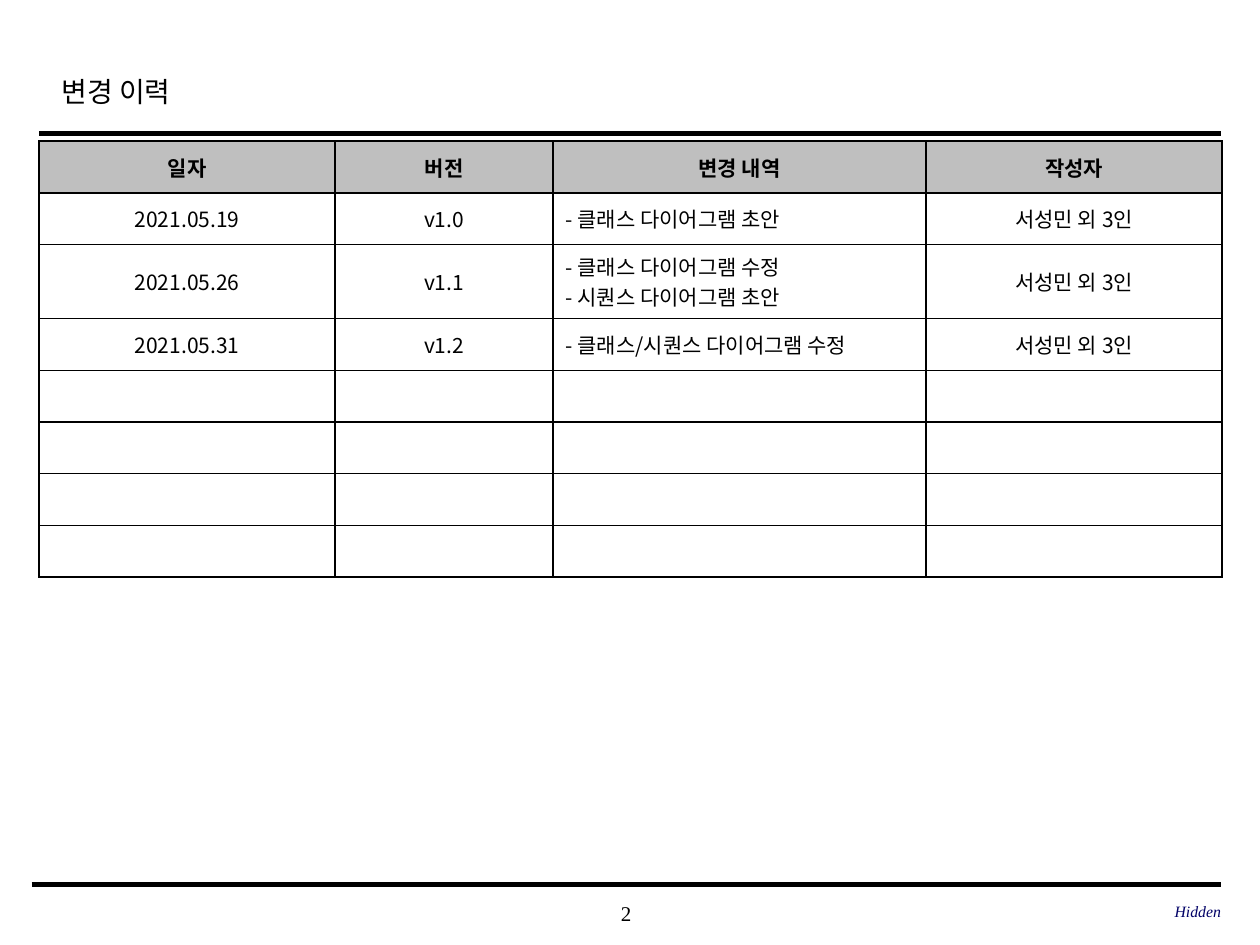
"""Build the revision history slide with its table, rules and footer."""
from lxml.etree import SubElement
from pptx import Presentation
from pptx.dml.color import RGBColor
from pptx.enum.shapes import MSO_CONNECTOR
from pptx.enum.text import MSO_ANCHOR, PP_ALIGN
from pptx.oxml.ns import qn
from pptx.util import Inches, Pt

BLACK = RGBColor(0x00, 0x00, 0x00)
WHITE = RGBColor(0xFF, 0xFF, 0xFF)
GRAY = RGBColor(0xBF, 0xBF, 0xBF)
NAVY = RGBColor(0x00, 0x00, 0x66)
SERIF = "Times New Roman"
SANS = "Noto Sans CJK KR"

TITLE = "변경 이력"
PAGE_NUMBER = "2"
FOOTER = "Hidden"
HEADER = ("일자", "버전", "변경 내역", "작성자")
AUTHORS = "서성민 외 3인"
REVISIONS = [
    ("2021.05.19", "v1.0", "- 클래스 다이어그램 초안", AUTHORS),
    ("2021.05.26", "v1.1", "- 클래스 다이어그램 수정\n- 시퀀스 다이어그램 초안", AUTHORS),
    ("2021.05.31", "v1.2", "- 클래스/시퀀스 다이어그램 수정", AUTHORS),
]
EMPTY_ROWS = 4
COLUMN_WIDTHS = (2.35, 1.73, 2.96, 2.35)
CHANGES_COLUMN = 2
ROW_HEIGHT = 0.41
EXTRA_LINE_HEIGHT = 0.18
RULES = [(0.31, 1.06, 2.5), (0.25, 7.02, 3)]
RIGHT_EDGE = 9.69


def style_text(text_frame, size, font, align, color=BLACK, bold=False, italic=False):
    for paragraph in text_frame.paragraphs:
        paragraph.alignment = align
        for run in paragraph.runs:
            run.font.size = Pt(size)
            run.font.name = font
            run.font.bold = bold
            run.font.italic = italic
            run.font.color.rgb = color
            east_asian = SubElement(run.font._element, qn("a:ea"))
            east_asian.set("typeface", SANS)


def add_text(slide, text, box, size, align, inset=True, **style):
    text_frame = slide.shapes.add_textbox(*map(Inches, box)).text_frame
    text_frame.word_wrap = True
    text_frame.vertical_anchor = MSO_ANCHOR.MIDDLE
    if not inset:
        text_frame.margin_left = text_frame.margin_right = 0
        text_frame.margin_top = text_frame.margin_bottom = 0
    text_frame.text = text
    style_text(text_frame, size, SERIF, align, **style)
    return text_frame


def add_rule(slide, left, top, width):
    rule = slide.shapes.add_connector(
        MSO_CONNECTOR.STRAIGHT, Inches(left), Inches(top), Inches(RIGHT_EDGE), Inches(top))
    rule.line.color.rgb = BLACK
    rule.line.width = Pt(width)
    SubElement(rule._element.spPr, qn("a:effectLst"))


def add_borders(cell):
    properties = cell._tc.get_or_add_tcPr()
    for side in ("lnL", "lnR", "lnT", "lnB"):
        border = SubElement(properties, qn(f"a:{side}"), w=str(Pt(1)))
        fill = SubElement(border, qn("a:solidFill"))
        SubElement(fill, qn("a:srgbClr"), val=str(BLACK))


def row_height(row):
    extra_lines = max(text.count("\n") for text in row)
    return ROW_HEIGHT + EXTRA_LINE_HEIGHT * extra_lines


def add_history(slide):
    blank_row = ("",) * len(HEADER)
    rows = [HEADER, *REVISIONS, *[blank_row] * EMPTY_ROWS]
    table = slide.shapes.add_table(
        len(rows), len(HEADER), Inches(0.31), Inches(1.12),
        Inches(sum(COLUMN_WIDTHS)), Inches(sum(map(row_height, rows)))).table
    for column, width in zip(table.columns, COLUMN_WIDTHS):
        column.width = Inches(width)
    for row_index, row in enumerate(rows):
        table.rows[row_index].height = Inches(row_height(row))
        is_header = row_index == 0
        for column_index, text in enumerate(row):
            cell = table.cell(row_index, column_index)
            add_borders(cell)
            cell.fill.solid()
            cell.fill.fore_color.rgb = GRAY if is_header else WHITE
            cell.vertical_anchor = MSO_ANCHOR.MIDDLE
            cell.text_frame.text = text
            left_aligned = column_index == CHANGES_COLUMN and not is_header
            align = PP_ALIGN.LEFT if left_aligned else PP_ALIGN.CENTER
            style_text(cell.text_frame, 12, SANS, align, bold=is_header)


def main():
    presentation = Presentation()
    presentation.slide_width = Inches(10)
    presentation.slide_height = Inches(7.5)
    slide = presentation.slides.add_slide(presentation.slide_layouts[6])
    add_text(slide, PAGE_NUMBER, (3.93, 7.08, 2.08, 0.33), 12, PP_ALIGN.CENTER, inset=False)
    for rule in RULES:
        add_rule(slide, *rule)
    title = add_text(slide, TITLE, (0.39, 0.45, 7.55, 0.5), 16, PP_ALIGN.LEFT)
    title.paragraphs[0].line_spacing = 1.2
    add_text(slide, FOOTER, (6.63, 7.07, 3.06, 0.33), 9, PP_ALIGN.RIGHT,
             inset=False, color=NAVY, italic=True)
    add_history(slide)
    presentation.save("out.pptx")


if __name__ == "__main__":
    main()
